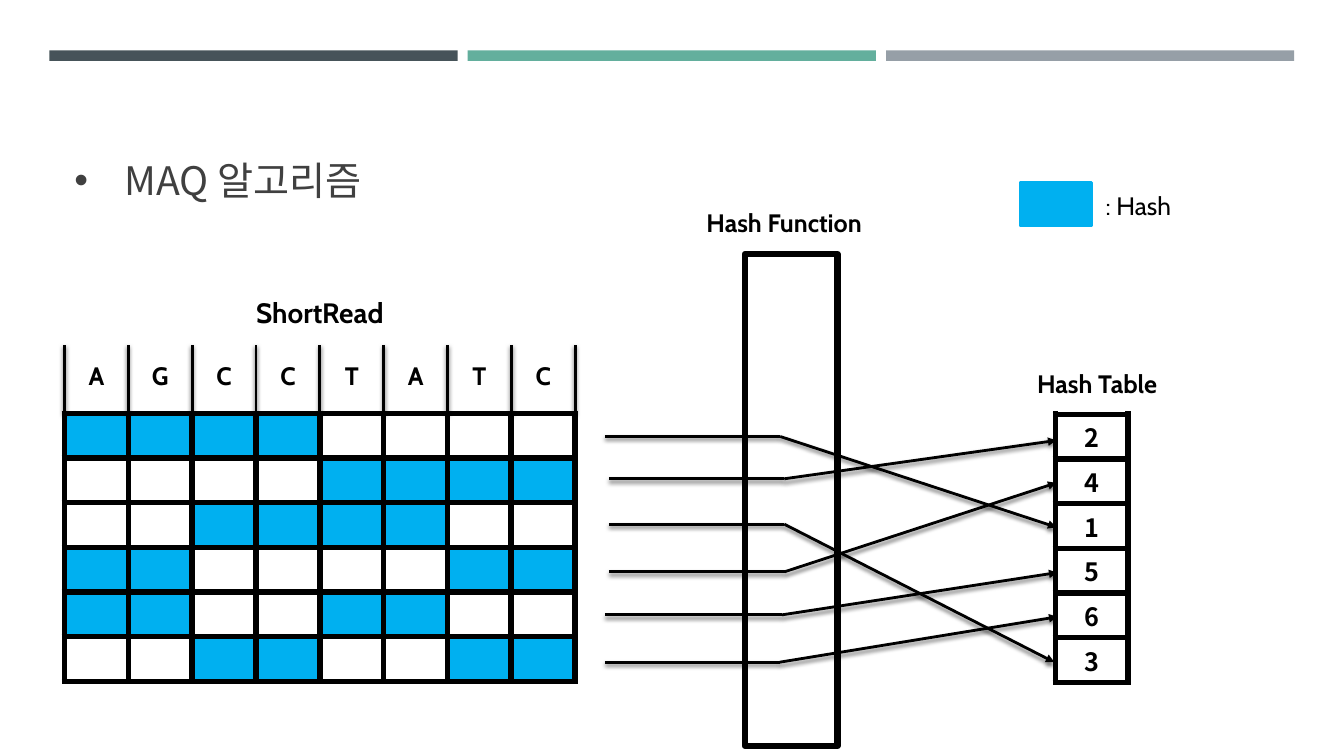
from lxml import etree
from pptx import Presentation
from pptx.dml import color
from pptx.enum import shapes, text
from pptx.oxml import ns
from pptx.util import Pt

COLORS = {
    "slate": "465359", "green": "63AF9D", "grey": "969FA7",
    "heading": "404040", "ink": "000000", "hash": "00B0F0", "white": "FFFFFF",
}
LATIN, KOREAN = "Cabin", "Noto Sans CJK KR"
BARS = ["slate", "green", "grey"]
BASES = "AGCCTATC"
MASKS = ["11110000", "00001111", "00111100", "11000011", "11001100", "00110011"]
HASH_VALUES = ["2", "4", "1", "5", "6", "3"]
ROUTES = [
    ((432, 311.8), (557.3, 311.8), (754.6, 376.6)),
    ((434.9, 342), (560.2, 342), (754.6, 314.6)),
    ((434.9, 374.4), (560.2, 374.4), (753.1, 473)),
    ((434.9, 408.4), (560.5, 408.4), (754.6, 344.9)),
    ((432, 439.2), (558.5, 439.2), (755.3, 409)),
    ((432, 473), (557, 473), (755.3, 440.6)),
]
LABELS = [
    ("Hash Function", (497.5, 144.7, 134.6, 28.8), True),
    (": Hash", (782.6, 132.5, 111.6, 28.8), False),
    ("Hash Table", (733.7, 259.2, 134.6, 28.8), True),
]
READ_LEFT, READ_TOP, READ_WIDTH = 46.1, 295.2, 364.8
BASE_WIDTH = READ_WIDTH / len(BASES)
ROW_HEIGHT = 31.92
TICK_HEIGHT = 49

deck = Presentation()
deck.slide_width, deck.slide_height = Pt(960), Pt(540)
slide = deck.slides.add_slide(deck.slide_layouts[6])


def rgb(name):
    return color.RGBColor.from_string(COLORS[name])


def apply(target, values):
    for key, value in values.items():
        setattr(target, key, value)


def element(parent, tag, **attributes):
    return etree.SubElement(parent, ns.qn(tag), {k: str(v) for k, v in attributes.items()})


def box(place, fill=None, line=None, width=0):
    shape = slide.shapes.add_shape(shapes.MSO_SHAPE.RECTANGLE, *map(Pt, place))
    shape.shadow.inherit = False
    for part, name in ((shape.fill, fill), (shape.line.fill, line)):
        if name:
            part.solid()
            part.fore_color.rgb = rgb(name)
        else:
            part.background()
    if line:
        shape.line.width = Pt(width)


def write(paragraph, words, size=18, font=LATIN, ink="ink", bold=False):
    run = paragraph.add_run()
    run.text = words
    apply(run.font, {"size": Pt(size), "name": font, "bold": bold})
    run.font.color.rgb = rgb(ink)
    element(run.font._element, "a:ea", typeface=font)


def text_frame(place, anchor=text.MSO_ANCHOR.TOP):
    frame = slide.shapes.add_textbox(*map(Pt, place)).text_frame
    apply(frame, {"word_wrap": True, "vertical_anchor": anchor})
    return frame


def stroke(start, end, arrow=False):
    points = map(Pt, (*start, *end))
    line = slide.shapes.add_connector(shapes.MSO_CONNECTOR.STRAIGHT, *points)
    line.line.color.rgb = rgb("ink")
    line.line.width = Pt(2)
    if arrow:
        element(line.line._ln, "a:tailEnd", type="triangle")
    effects = element(line._element.spPr, "a:effectLst")
    shadow = element(effects, "a:outerShdw", blurRad=Pt(3), dist=Pt(2),
                     dir=5400000, rotWithShape=0)
    shade = element(shadow, "a:srgbClr", val=COLORS["ink"])
    element(shade, "a:alpha", val=55000)


def grid(left, top, width, fills, values=None):
    rows, columns = len(fills), len(fills[0])
    place = (left, top, width, ROW_HEIGHT * rows)
    table = slide.shapes.add_table(rows, columns, *map(Pt, place)).table
    for column in table.columns:
        column.width = Pt(width / columns)
    for r, row in enumerate(table.rows):
        row.height = Pt(ROW_HEIGHT)
        for c, cell in enumerate(row.cells):
            apply(cell, {"margin_top": 0, "margin_bottom": 0,
                         "vertical_anchor": text.MSO_ANCHOR.MIDDLE})
            properties = cell._tc.get_or_add_tcPr()
            for side in ("L", "R", "T", "B"):
                border = element(properties, "a:ln" + side, w=Pt(4.5))
                element(element(border, "a:solidFill"), "a:srgbClr", val=COLORS["ink"])
            cell.fill.solid()
            cell.fill.fore_color.rgb = rgb(fills[r][c])
            if values:
                paragraph = cell.text_frame.paragraphs[0]
                paragraph.alignment = text.PP_ALIGN.CENTER
                write(paragraph, values[r], font=KOREAN, bold=True)


for i, bar in enumerate(BARS):
    box((35.3 + 298.8 * i, 36, 291.6, 7.5), bar)

heading = text_frame((46.1, 55.4, 868.3, 93.6), text.MSO_ANCHOR.BOTTOM).paragraphs[0]
write(heading, "MAQ 알고리즘", 28, KOREAN, "heading")
bullet = heading._p.get_or_add_pPr()
for key, value in {"marL": Pt(36), "indent": Pt(-36)}.items():
    bullet.set(key, str(value))
element(bullet, "a:buFont", typeface="Arial")
element(bullet, "a:buChar", char="•")

grid(READ_LEFT, READ_TOP, READ_WIDTH,
     [["hash" if bit == "1" else "white" for bit in mask] for mask in MASKS])

short_read = text_frame((READ_LEFT, 207.5, READ_WIDTH, 74.9))
apply(short_read, {"margin_left": 0, "margin_right": 0})
short_read.paragraphs[0].alignment = text.PP_ALIGN.CENTER
write(short_read.paragraphs[0], "ShortRead", 20, bold=True)
bases = short_read.add_paragraph()
apply(bases, {"alignment": text.PP_ALIGN.LEFT, "space_before": Pt(22)})
write(bases, "".join("\t" + base for base in BASES), bold=True)
tabs = element(bases._p.get_or_add_pPr(), "a:tabLst")
for i in range(len(BASES)):
    element(tabs, "a:tab", pos=Pt(BASE_WIDTH * (i + 0.5)), algn="ctr")

for i in range(len(BASES) + 1):
    x = READ_LEFT + BASE_WIDTH * i
    stroke((x, READ_TOP), (x, READ_TOP - TICK_HEIGHT))

box((532.1, 181.4, 66.2, 351.4), line="ink", width=4.5)
box((728.6, 130.3, 51.1, 31), "hash", "hash", 1.75)
for start, bend, end in ROUTES:
    stroke(start, bend)
    stroke(bend, end, arrow=True)
grid(753.8, 295.9, 51.8, [["white"]] * len(HASH_VALUES), HASH_VALUES)
for words, place, bold in LABELS:
    write(text_frame(place).paragraphs[0], words, bold=bold)

deck.save("out.pptx")
